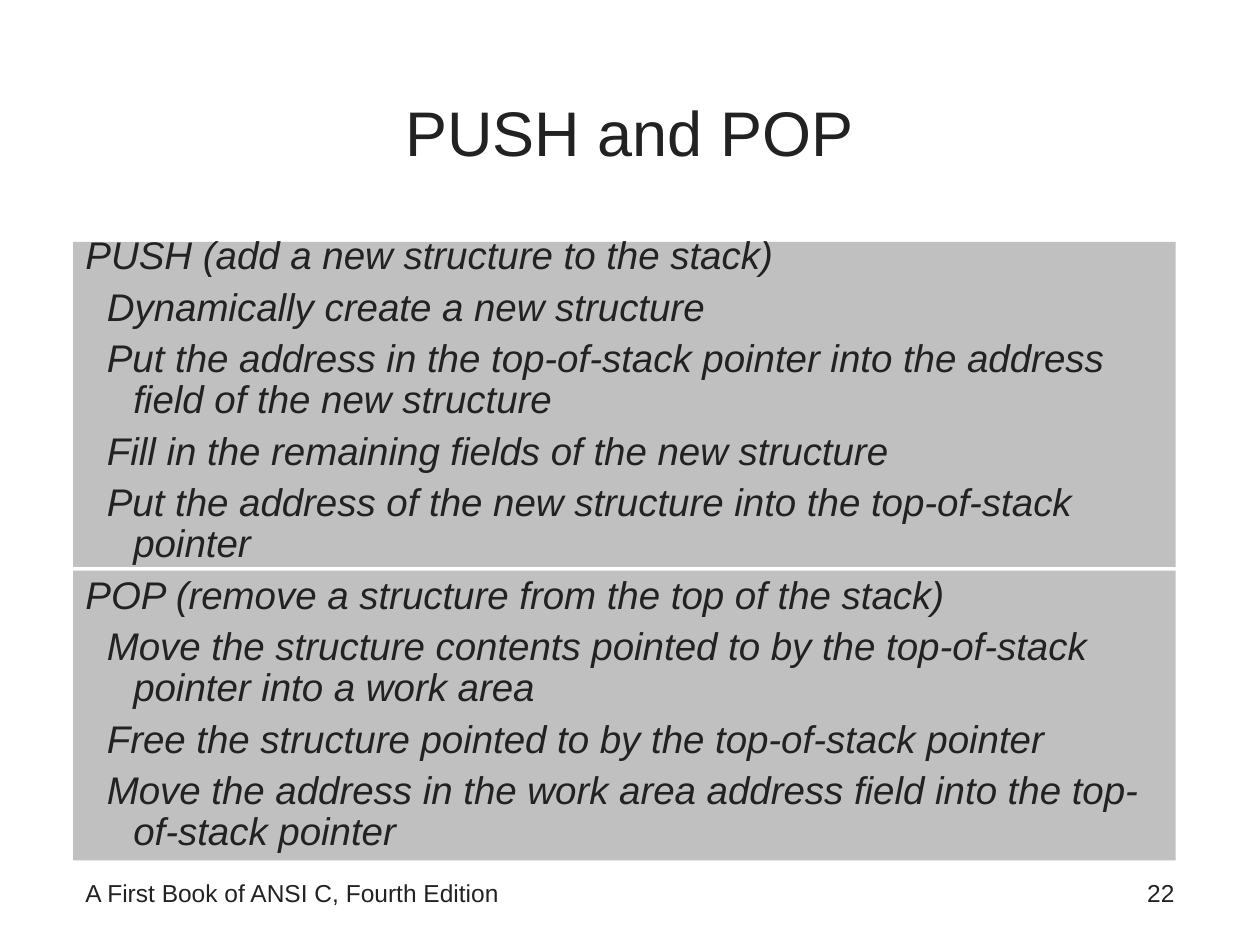
from dataclasses import dataclass

from pptx import Presentation
from pptx.dml.color import RGBColor
from pptx.enum.shapes import MSO_SHAPE
from pptx.enum.text import MSO_ANCHOR, MSO_AUTO_SIZE, PP_ALIGN
from pptx.util import Inches, Pt

RECT = MSO_SHAPE.RECTANGLE
TOP, MIDDLE = MSO_ANCHOR.TOP, MSO_ANCHOR.MIDDLE
LEFT, CENTER, RIGHT = PP_ALIGN.LEFT, PP_ALIGN.CENTER, PP_ALIGN.RIGHT
FIXED = MSO_AUTO_SIZE.NONE


@dataclass(frozen=True)
class Theme:
    font: str = "Arial"
    ink: RGBColor = RGBColor(0x22, 0x22, 0x22)
    band: RGBColor = RGBColor(0xC0, 0xC0, 0xC0)
    title: int = 36
    body: int = 22
    foot: int = 14


class Deck:
    def __init__(self, theme):
        self.theme = theme
        self.prs = Presentation()
        self.prs.slide_width, self.prs.slide_height = Inches(10), Inches(7.5)
        self.slide = self.prs.slides.add_slide(self.prs.slide_layouts[5])

    def frame(self, shape, anchor):
        frame = shape.text_frame
        form = {
            "word_wrap": True, "auto_size": FIXED, "vertical_anchor": anchor,
            "margin_left": Inches(0.1), "margin_right": Inches(0.1),
            "margin_top": Inches(0.05), "margin_bottom": Inches(0.05),
        }
        for name, value in form.items():
            setattr(frame, name, value)
        return frame

    def label(self, para, text, size, align=LEFT, italic=False):
        para.text = text
        para.alignment = align
        form = {"name": self.theme.font, "size": Pt(size), "italic": italic}
        for run in para.runs:
            for name, value in form.items():
                setattr(run.font, name, value)
            run.font.color.rgb = self.theme.ink

    def title(self, text, *box):
        shape = self.slide.shapes.title
        shape.left, shape.top, shape.width, shape.height = map(Inches, box)
        frame = self.frame(shape, MIDDLE)
        self.label(frame.paragraphs[0], text, self.theme.title, CENTER)

    def band(self, *box):
        shape = self.slide.shapes.add_shape(RECT, *map(Inches, box))
        shape.shadow.inherit = False
        shape.fill.solid()
        shape.fill.fore_color.rgb = self.theme.band
        shape.line.fill.background()

    def steps(self, groups, *box):
        frame = self.frame(self.slide.shapes.add_textbox(*map(Inches, box)), TOP)
        lines = [(text, 0 if row == 0 else 0.17)
                 for group in groups for row, text in enumerate(group)]
        for row, (text, start) in enumerate(lines):
            para = frame.add_paragraph() if row else frame.paragraphs[0]
            # Hanging indent: wrapped lines begin at 0.38 inch
            props = para._p.get_or_add_pPr()
            props.set("marL", str(Inches(0.38)))
            props.set("indent", str(Inches(start - 0.38)))
            para.line_spacing = 0.9
            if row:
                para.space_before = Pt(5.5)
            self.label(para, text, self.theme.body, italic=True)

    def note(self, text, align, *box):
        frame = self.frame(self.slide.shapes.add_textbox(*map(Inches, box)), TOP)
        self.label(frame.paragraphs[0], text, self.theme.foot, align)


PUSH = [
    "PUSH (add a new structure to the stack)",
    "Dynamically create a new structure",
    "Put the address in the top-of-stack pointer into the address field of the new structure",
    "Fill in the remaining fields of the new structure",
    "Put the address of the new structure into the top-of-stack pointer",
]
POP = [
    "POP (remove a structure from the top of the stack)",
    "Move the structure contents pointed to by the top-of-stack pointer into a work area",
    "Free the structure pointed to by the top-of-stack pointer",
    "Move the address in the work area address field into the top-of-stack pointer",
]


def main():
    deck = Deck(Theme())
    edge = 0.58

    # Grey bands behind the two procedures
    for top, height in ((1.92, 2.58), (4.53, 2.3)):
        deck.band(edge, top, 8.75, height)

    # Title and procedure steps
    deck.title("PUSH and POP", edge, 0.42, 8.83, 1.25)
    deck.steps((PUSH, POP), edge, 1.83, 8.83, 5)

    # Footer and page number
    deck.note("A First Book of ANSI C, Fourth Edition", LEFT, edge, 6.92, 6.42, 0.42)
    deck.note("22", RIGHT, 7.17, 6.92, 2.25, 0.42)

    deck.prs.save("out.pptx")


if __name__ == "__main__":
    main()
